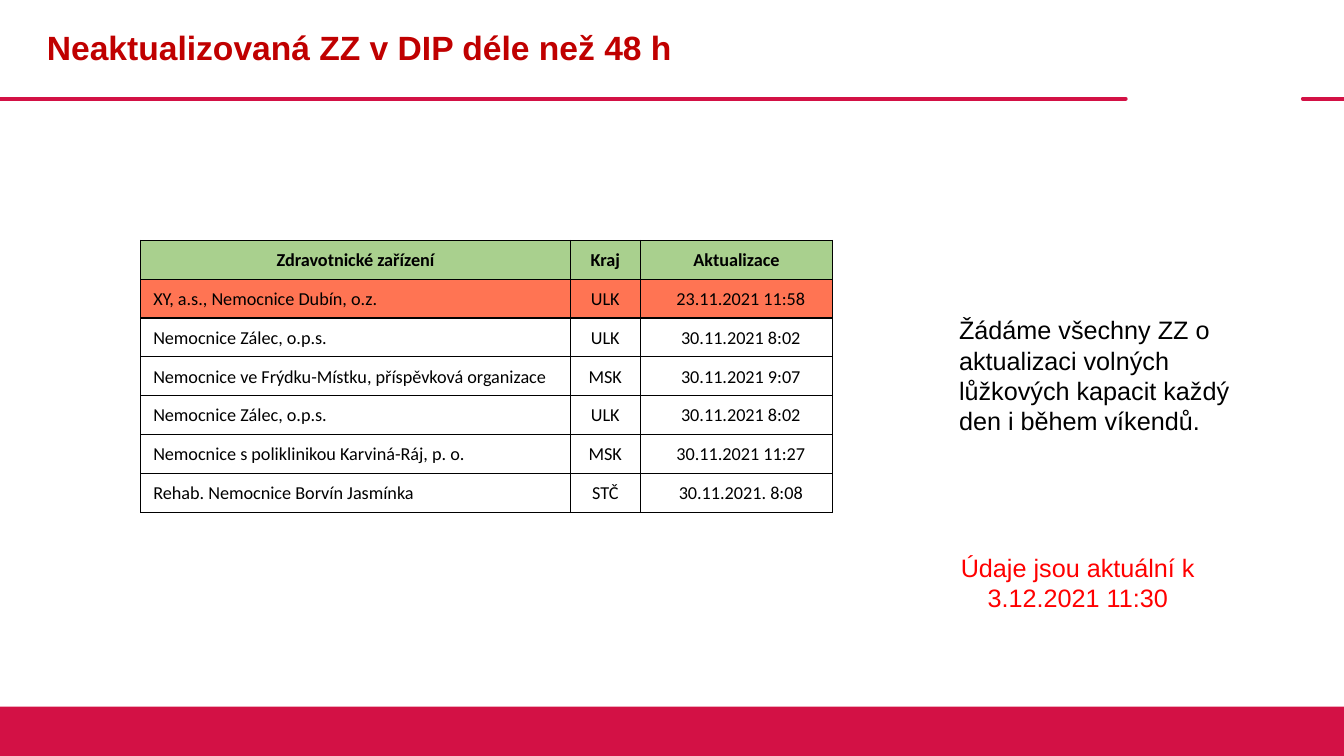
from dataclasses import dataclass

from lxml import etree
from pptx import Presentation
from pptx import util as u
from pptx.dml.color import RGBColor
from pptx.enum import shapes, text
from pptx.oxml.ns import qn

PX = 9525  # EMU per px, 96 px to the inch
WIDTH, HEIGHT = 1280, 720
COLORS = {
    "brand": "D31145",
    "title": "C00000",
    "alert": "FF0000",
    "ink": "000000",
    "header": "A9D08E",
    "overdue": "FF7453",
    "plain": "FFFFFF",
}
CENTER, LEFT = text.PP_ALIGN.CENTER, text.PP_ALIGN.LEFT


@dataclass
class Rule:
    start: int
    end: int


@dataclass
class Note:
    top: int
    width: int
    height: int
    words: str
    color: str
    align: text.PP_ALIGN


@dataclass
class Column:
    heading: str
    width: int
    indent: int
    align: text.PP_ALIGN


@dataclass
class Facility:
    name: str
    region: str
    updated: str
    fill: str = "plain"


RULE_Y = 94
RULES = [Rule(0, 1072), Rule(1241, WIDTH)]
NOTE_LEFT = 904
NOTES = [
    Note(521, 245, 68, "Údaje jsou aktuální k 3.12.2021 11:30", "alert", CENTER),
    Note(295, 287, 126, "Žádáme všechny ZZ o aktualizaci volných lůžkových "
         "kapacit každý den i během víkendů.", "ink", LEFT),
]
TABLE_LEFT, TABLE_TOP, ROW_HEIGHT = 134, 229, 37
COLUMNS = [
    Column("Zdravotnické zařízení", 409, 12, LEFT),
    Column("Kraj", 67, 1, CENTER),
    Column("Aktualizace", 183, 9, CENTER),
]
FACILITIES = [
    Facility("XY, a.s., Nemocnice Dubín, o.z.", "ULK", "23.11.2021 11:58", "overdue"),
    Facility("Nemocnice Zálec, o.p.s.", "ULK", "30.11.2021 8:02"),
    Facility("Nemocnice ve Frýdku-Místku, příspěvková organizace", "MSK",
             "30.11.2021 9:07"),
    Facility("Nemocnice Zálec, o.p.s.", "ULK", "30.11.2021 8:02"),
    Facility("Nemocnice s poliklinikou Karviná-Ráj, p. o.", "MSK", "30.11.2021 11:27"),
    Facility("Rehab. Nemocnice Borvín Jasmínka", "STČ", "30.11.2021. 8:08"),
]


def px(*lengths: int) -> list[u.Emu]:
    return [u.Emu(n * PX) for n in lengths]


def rgb(name: str) -> RGBColor:
    return RGBColor.from_string(COLORS[name])


def style(p, face: str, size: int, color: str, align, bold: bool = False) -> None:
    p.alignment = align
    p.font.name, p.font.size, p.font.bold = face, u.Pt(size), bold
    p.font.color.rgb = rgb(color)


def draw_rule(s, rule: Rule) -> None:
    line = s.shapes.add_connector(shapes.MSO_CONNECTOR.STRAIGHT,
                                  *px(rule.start, RULE_Y, rule.end, RULE_Y))
    line.line.color.rgb = rgb("brand")
    line.line.width = u.Pt(3)
    props = line._element.spPr
    props.find(qn("a:ln")).set("cap", "rnd")
    etree.SubElement(props, qn("a:effectLst"))


def draw_note(s, note: Note) -> None:
    box = s.shapes.add_textbox(*px(NOTE_LEFT, note.top, note.width, note.height))
    tf = box.text_frame
    tf.word_wrap = True
    tf.auto_size = text.MSO_AUTO_SIZE.SHAPE_TO_FIT_TEXT
    tf.text = note.words
    style(tf.paragraphs[0], "Arial", 18, note.color, note.align)


def add_borders(cell) -> None:
    props = cell._tc.get_or_add_tcPr()
    for i, side in enumerate(("lnL", "lnR", "lnT", "lnB")):
        border = etree.Element(qn(f"a:{side}"), w=str(u.Pt(1)))
        fill = etree.SubElement(border, qn("a:solidFill"))
        etree.SubElement(fill, qn("a:srgbClr"), val=COLORS["ink"])
        props.insert(i, border)


def fill_cell(cell, words: str, fill: str, indent: int, align, bold: bool) -> None:
    cell.text = words
    cell.vertical_anchor = text.MSO_ANCHOR.MIDDLE
    (cell.margin_left, cell.margin_top,
     cell.margin_right, cell.margin_bottom) = px(indent, 1, 1, 0)
    cell.fill.solid()
    cell.fill.fore_color.rgb = rgb(fill)
    style(cell.text_frame.paragraphs[0], "Calibri", 13, "ink", align, bold)
    add_borders(cell)


def draw_table(s) -> None:
    rows = len(FACILITIES) + 1
    table = s.shapes.add_table(rows, len(COLUMNS), *px(
        TABLE_LEFT, TABLE_TOP, sum(c.width for c in COLUMNS), rows * ROW_HEIGHT)).table
    for row in table.rows:
        row.height = px(ROW_HEIGHT)[0]
    for i, column in enumerate(COLUMNS):
        table.columns[i].width = px(column.width)[0]
        fill_cell(table.cell(0, i), column.heading, "header", 1, CENTER, True)
    for j, f in enumerate(FACILITIES, 1):
        for i, words in enumerate((f.name, f.region, f.updated)):
            fill_cell(table.cell(j, i), words, f.fill,
                      COLUMNS[i].indent, COLUMNS[i].align, False)


def main() -> None:
    prs = Presentation()
    prs.slide_width, prs.slide_height = px(WIDTH, HEIGHT)
    s = prs.slides.add_slide(prs.slide_layouts[5])

    # Frame: top rules and bottom bar
    for rule in RULES:
        draw_rule(s, rule)
    bar = s.shapes.add_shape(shapes.MSO_SHAPE.RECTANGLE, *px(0, 673, WIDTH, 47))
    bar.shadow.inherit = False
    bar.fill.solid()
    bar.fill.fore_color.rgb = rgb("brand")
    bar.line.fill.background()

    # Title
    title = s.shapes.title
    title.left, title.top, title.width, title.height = px(35, 0, 1038, 94)
    tf = title.text_frame
    tf.text = "Neaktualizovaná ZZ v DIP déle než 48 h"
    tf.vertical_anchor = text.MSO_ANCHOR.MIDDLE
    tf.paragraphs[0].line_spacing = 0.9
    style(tf.paragraphs[0], "Arial", 24, "title", LEFT, True)

    # Notes and table
    for note in NOTES:
        draw_note(s, note)
    draw_table(s)

    prs.save("out.pptx")


if __name__ == "__main__":
    main()
